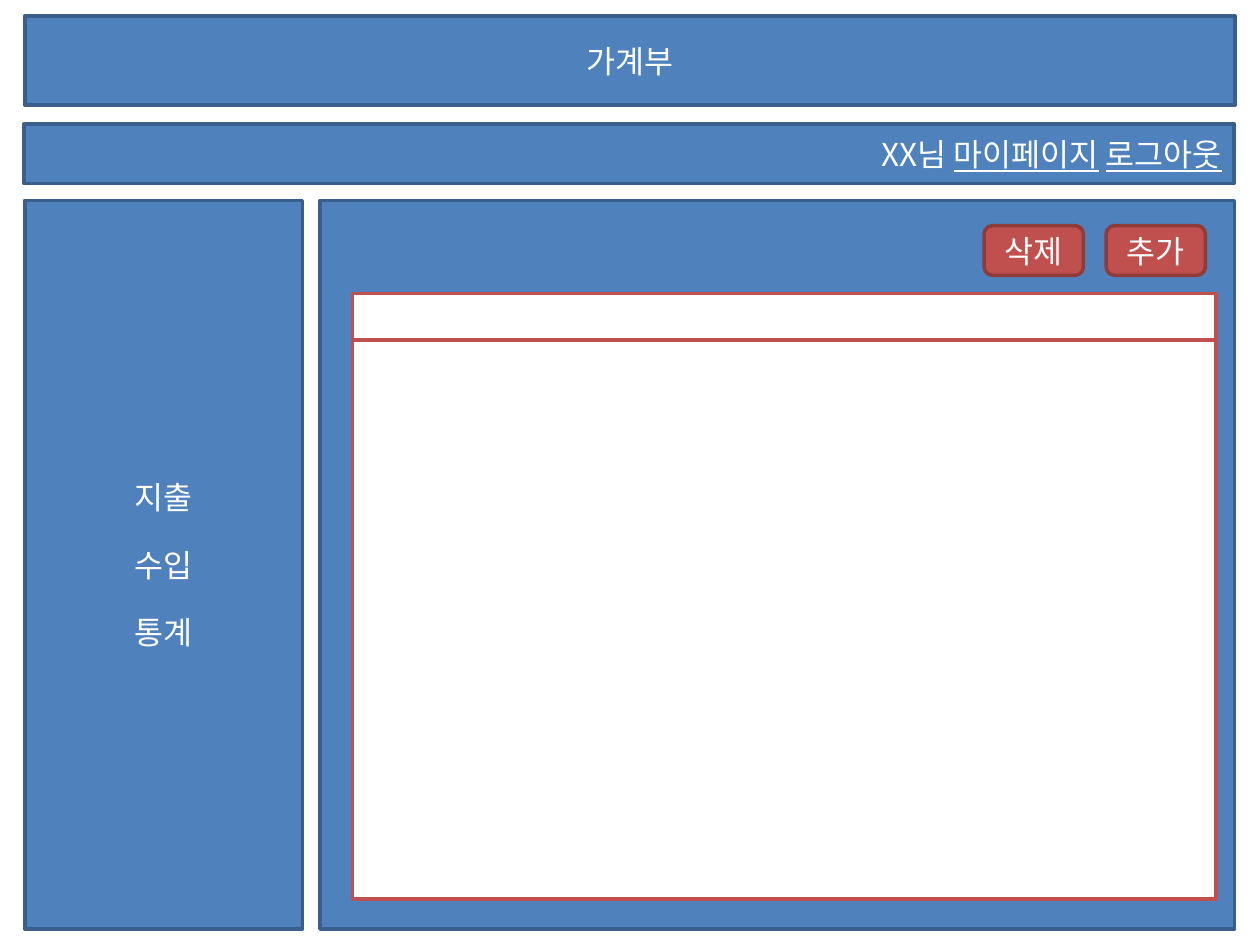
import pptx
import pptx.dml.color
import pptx.enum.shapes
import pptx.enum.text
import pptx.oxml.ns
import pptx.util
from lxml import etree
from pptx.util import Cm, Pt

FONT = "Noto Sans CJK KR"
BLUE, DARK_BLUE = "4F81BD", "3A5F8C"
RED, DARK_RED = "C0504D", "8E3B39"
WHITE = "FFFFFF"
SHAPE = pptx.enum.shapes.MSO_SHAPE
ALIGN = pptx.enum.text.PP_ALIGN


def rgb(value):
    return pptx.dml.color.RGBColor.from_string(value)


def add_box(s, left, top, width, height, fill, line, kind=SHAPE.RECTANGLE):
    sp = s.shapes.add_shape(kind, Cm(left), Cm(top), Cm(width), Cm(height))
    sp.shadow.inherit = False
    sp.fill.solid()
    sp.fill.fore_color.rgb = rgb(fill)
    sp.line.color.rgb = rgb(line)
    sp.line.width = Pt(2)
    return sp


def write(sp, lines, align=ALIGN.CENTER, gap=0):
    """Fill a box with lines, each a list of (text, underlined) runs."""
    tf = sp.text_frame
    tf.word_wrap = True
    tf.vertical_anchor = pptx.enum.text.MSO_ANCHOR.MIDDLE
    for i, runs in enumerate(lines):
        p = tf.add_paragraph() if i else tf.paragraphs[0]
        p.alignment = align
        p.space_before = Pt(gap if i else 0)
        p.font.size = Pt(18)
        p.font.color.rgb = rgb(WHITE)
        p.font.name = FONT
        # East Asian text takes its typeface from a:ea
        props = p._p.get_or_add_pPr().get_or_add_defRPr()
        etree.SubElement(props, pptx.oxml.ns.qn("a:ea"), typeface=FONT)
        for text, underlined in runs:
            r = p.add_run()
            r.text = text
            if underlined:
                r.font.underline = True


def add_button(s, left, text):
    sp = add_box(s, left, 4.55, 2, 1, RED, DARK_RED, SHAPE.ROUNDED_RECTANGLE)
    write(sp, [[(text, False)]])


def main():
    prs = pptx.Presentation()
    prs.slide_width, prs.slide_height = Cm(25.4), Cm(19.05)
    s = prs.slides.add_slide(prs.slide_layouts[6])

    user_bar = add_box(s, 0.48, 2.5, 24.4, 1.2, BLUE, DARK_BLUE)
    write(user_bar, [[("XX님 ", False), ("마이페이지", True),
                      (" ", False), ("로그아웃", True)]], ALIGN.RIGHT)

    title_bar = add_box(s, 0.5, 0.32, 24.4, 1.8, BLUE, DARK_BLUE)
    write(title_bar, [[("가계부", False)]])

    add_box(s, 6.45, 4.04, 18.44, 14.69, BLUE, DARK_BLUE)
    menu = add_box(s, 0.5, 4.04, 5.6, 14.69, BLUE, DARK_BLUE)
    write(menu, [[(text, False)] for text in ("지출", "수입", "통계")], gap=17)

    for i, text in enumerate(("삭제", "추가")):
        add_button(s, 19.84 + i * 2.46, text)

    list_top, list_height, header_height = 5.92, 12.2, 0.93
    for offset in (0, header_height):
        add_box(s, 7.11, list_top + offset, 17.4, list_height - offset, WHITE, RED)

    prs.save("out.pptx")


if __name__ == "__main__":
    main()
